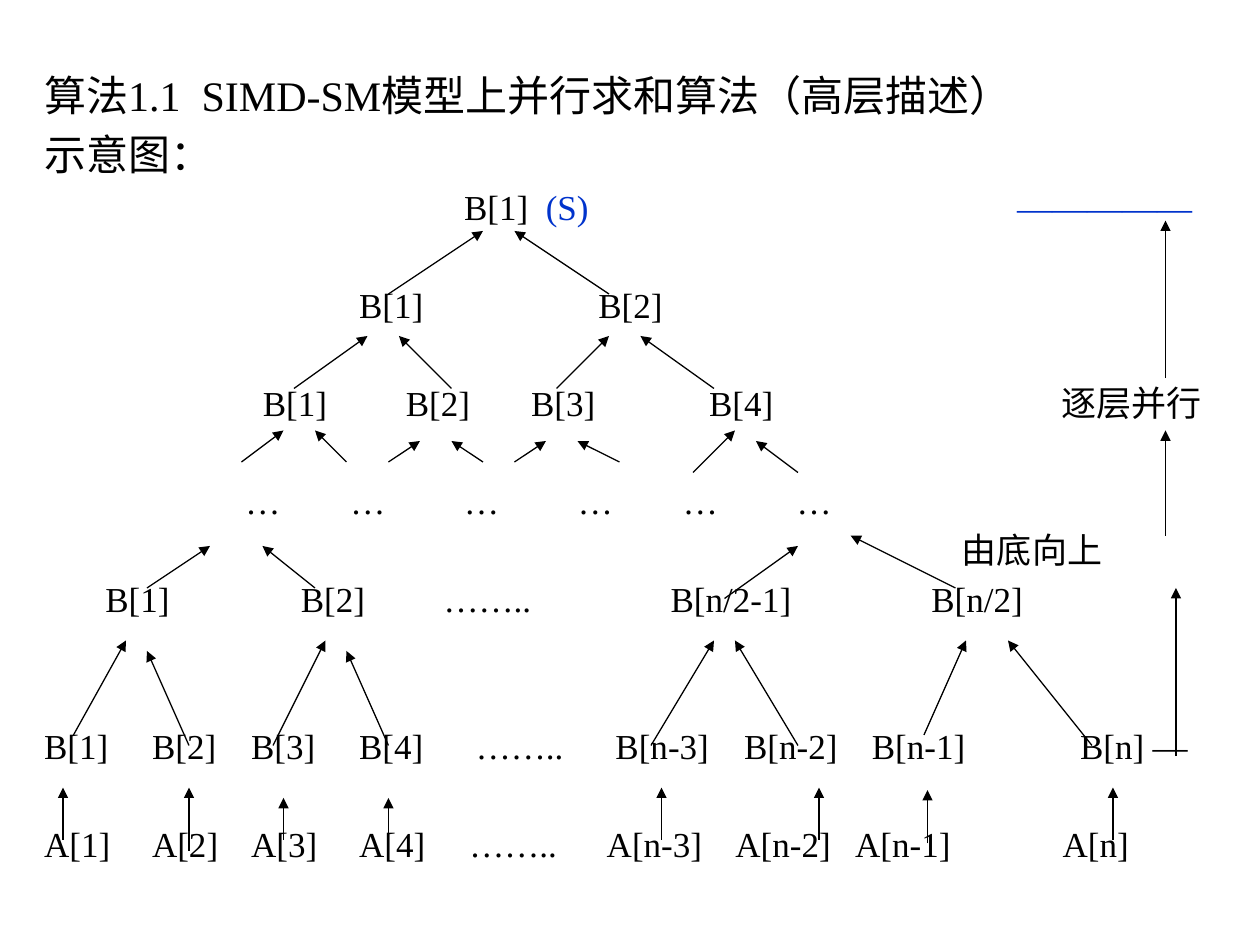
"""Build a slide showing the bottom-up tree of a parallel summation algorithm."""
import lxml.etree
import pptx
import pptx.dml.color
import pptx.enum.shapes
import pptx.enum.text
import pptx.oxml.ns
import pptx.util

Pt = pptx.util.Pt
qn = pptx.oxml.ns.qn


def color(value):
    return pptx.dml.color.RGBColor.from_string(value)


def add_text(p, text, size=20, fill="000000", font="Times New Roman"):
    r = p.add_run()
    r.text = text
    r.font.size = Pt(size)
    r.font.name = font
    r.font.color.rgb = color(fill)


prs = pptx.Presentation()
prs.slide_width, prs.slide_height = Pt(720), Pt(540)
s = prs.slides.add_slide(prs.slide_layouts[1])
title = s.shapes.title
title.element.getparent().remove(title.element)

body = s.placeholders[1]
body.left, body.top, body.width, body.height = Pt(18), Pt(36), Pt(684), Pt(70)
tf = body.text_frame
tf.word_wrap = True
tf.auto_size = pptx.enum.text.MSO_AUTO_SIZE.NONE
tf.vertical_anchor = pptx.enum.text.MSO_ANCHOR.TOP
heading = ["算法1.1  SIMD-SM模型上并行求和算法（高层描述）", "示意图："]
for i, line in enumerate(heading):
    p = tf.add_paragraph() if i else tf.paragraphs[0]
    p.space_before = Pt(4.8)
    pPr = p._p.get_or_add_pPr()
    pPr.set("marL", "0")
    pPr.set("indent", "0")
    lxml.etree.SubElement(pPr, qn("a:buNone"))
    add_text(p, line, size=24)

BLUE = "0033CC"
LEFT, TOP, PITCH = 25.2, 106, 28
rows = {
    0: [(240, "B[1]"), (286.7, "(S)", BLUE), (556, "—————", BLUE)],
    2: [(180, "B[1]"), (316.7, "B[2]")],
    4: [(125, "B[1]"), (206.7, "B[2]"), (278.3, "B[3]"), (380, "B[4]"),
        (581.5, "逐层并行")],
    6: [(x, "…") for x in (115, 175, 240, 305, 365, 430)],
    7: [(524.5, "由底向上")],
    8: [(35, "B[1]"), (146.7, "B[2]"), (228.3, "…….."), (358, "B[n/2-1]"),
        (507, "B[n/2]")],
    11: [(0, "B[1]"), (61.7, "B[2]"), (118.3, "B[3]"), (180, "B[4]"),
         (246.7, "…….."), (326.5, "B[n-3]"), (400, "B[n-2]"), (473, "B[n-1]"),
         (592, "B[n]"), (633.5, "—")],
    13: [(0, "A[1]"), (61.7, "A[2]"), (118.3, "A[3]"), (180, "A[4]"),
         (243, "…….."), (321.5, "A[n-3]"), (395, "A[n-2]"), (463.5, "A[n-1]"),
         (582, "A[n]")],
}
for row, labels in rows.items():
    for x, text, *fill in labels:
        width = 2 + sum(20 if ch > "\u007f" else 10 for ch in text)
        sp = s.shapes.add_textbox(Pt(LEFT + x), Pt(TOP + row * PITCH), Pt(width), Pt(24))
        tf = sp.text_frame
        tf.word_wrap = True
        tf.margin_left = tf.margin_right = tf.margin_top = tf.margin_bottom = 0
        add_text(tf.paragraphs[0], text, 20, *fill)

arrows = [
    (42, 420, 72, 366), (108, 426, 84, 372), (156, 426, 186, 366), (222, 426, 198, 372),
    (372, 426, 408, 366), (456, 426, 420, 366), (528, 420, 552, 366), (624, 426, 576, 366),
    (84, 336, 120, 312), (180, 336, 150, 312), (414, 342, 456, 312), (546, 336, 486, 306),
    (138, 264, 162, 246), (198, 264, 180, 246), (222, 264, 240, 252), (276, 264, 258, 252),
    (294, 264, 312, 252), (354, 264, 330, 252), (396, 270, 420, 246), (456, 270, 432, 252),
    (168, 222, 210, 192), (258, 222, 228, 192), (318, 222, 348, 192), (408, 222, 366, 192),
    (222, 168, 276, 132), (348, 168, 294, 132),
    (672, 432, 672, 336), (666, 306, 666, 246), (666, 216, 666, 126),
    (36, 480, 36, 450), (108, 486, 108, 450), (162, 480, 162, 456), (222, 480, 222, 456),
    (378, 480, 378, 450), (468, 480, 468, 450), (530, 482, 530, 451.5), (636, 480, 636, 450),
]
for ends in arrows:
    sp = s.shapes.add_connector(pptx.enum.shapes.MSO_CONNECTOR.STRAIGHT, *map(Pt, ends))
    sp.line.width = Pt(0.75)
    sp.line.color.rgb = color("000000")
    lxml.etree.SubElement(sp.line._get_or_add_ln(), qn("a:tailEnd"), type="triangle")
    lxml.etree.SubElement(sp._element.spPr, qn("a:effectLst"))

prs.save("out.pptx")
